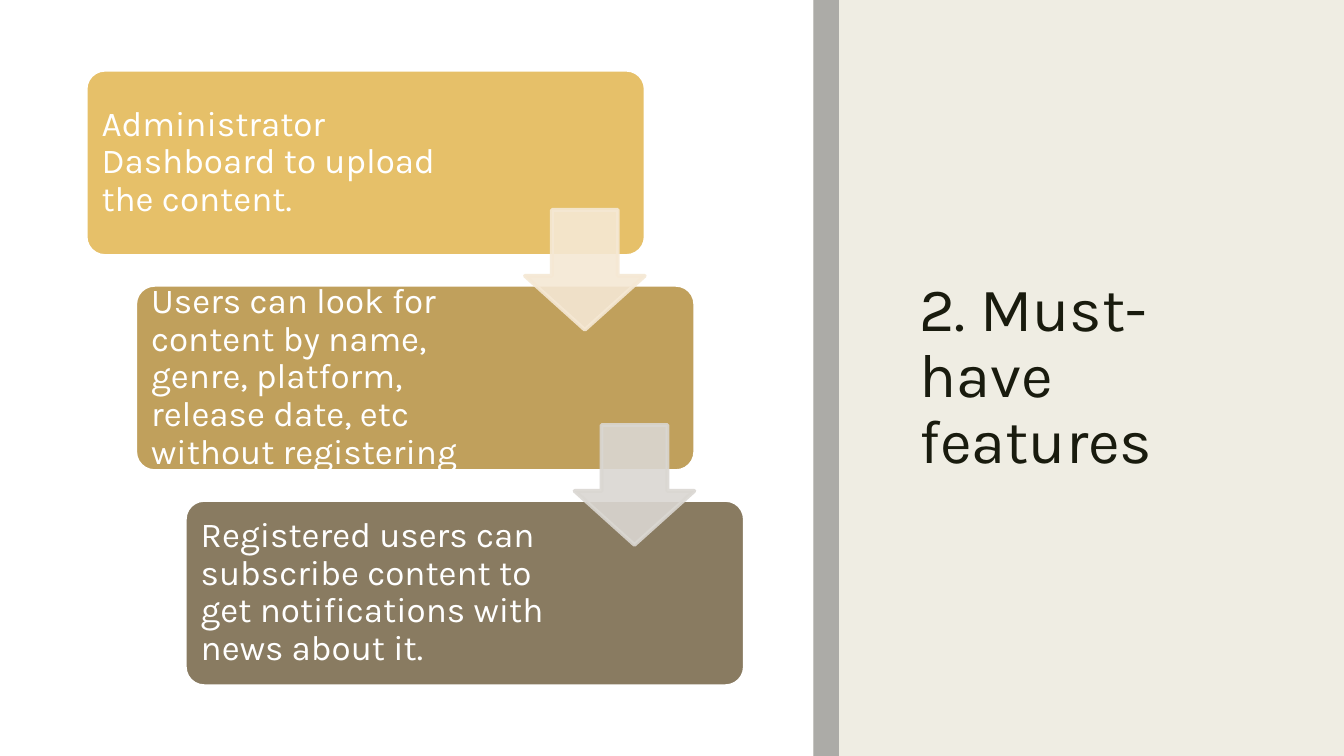
from lxml.etree import SubElement
from pptx import Presentation
from pptx.dml.color import RGBColor
from pptx.enum.shapes import MSO_SHAPE
from pptx.enum.text import MSO_ANCHOR, MSO_AUTO_SIZE, PP_ALIGN
from pptx.oxml.ns import qn
from pptx.util import Cm, Pt

COLORS = {
    "panel": "EFEDE3", "title": "191B0E", "white": "FFFFFF", "divider": "808080",
    "gold": "E6C069", "ochre": "C0A05C", "taupe": "897B61",
    "cream arrow": "F5E8D4", "gray arrow": "DAD7D2",
}
WIDTH, HEIGHT = 33.87, 19.05
STEPS = [
    ("Administrator Dashboard to upload the content.", "gold", 9.07),
    ("Users can look for content by name, genre, platform, release date, etc "
     "without registering", "ochre", 9.53),
    ("Registered users can subscribe content to get notifications with news about it.",
     "taupe", 9.53),
]
ARROWS = ["cream arrow", "gray arrow"]
STEP_RIGHT, STEP_DOWN = 1.25, 5.42


class FeatureSlide:
    def __init__(self, deck):
        self.font = "Karla"
        self.slide = deck.slides.add_slide(deck.slide_layouts[5])

    def paint(self, fill, color, opacity):
        """Fill with a solid colour; opacity is in percent."""
        fill.solid()
        fill.fore_color.rgb = RGBColor.from_string(COLORS[color])
        if opacity < 100:
            color_xml = fill._xPr.find(qn("a:solidFill"))[0]
            SubElement(color_xml, qn("a:alpha"), val=str(opacity * 1000))

    def block(self, kind, box, color, outline=None, weight=0, opacity=100, adjust=()):
        block = self.slide.shapes.add_shape(kind, *map(Cm, box))
        block.shadow.inherit = False
        for index, value in enumerate(adjust):
            block.adjustments[index] = value
        self.paint(block.fill, color, opacity)
        if outline:
            block.line.width = Pt(weight)
            self.paint(block.line.fill, outline, opacity)
        else:
            block.line.fill.background()

    def set_text(self, frame, text, size, color, spacing):
        frame.text = text
        frame_format = {"word_wrap": True, "auto_size": MSO_AUTO_SIZE.NONE,
                        "vertical_anchor": MSO_ANCHOR.MIDDLE}
        for name, value in frame_format.items():
            setattr(frame, name, value)
        paragraph = frame.paragraphs[0]
        for name, value in {"alignment": PP_ALIGN.LEFT, "line_spacing": spacing}.items():
            setattr(paragraph, name, value)
        font = paragraph.runs[0].font
        for name, value in {"name": self.font, "size": Pt(size)}.items():
            setattr(font, name, value)
        font.color.rgb = RGBColor.from_string(COLORS[color])

    def title(self, text, box):
        """Fill the title placeholder and bring it in front of what is drawn so far."""
        title = self.slide.shapes.title
        for name, value in zip(("left", "top", "width", "height"), box):
            setattr(title, name, Cm(value))
        self.set_text(title.text_frame, text, 44, "title", 0.89)
        self.slide.shapes._spTree.append(title._element)

    def label(self, text, box):
        frame = self.slide.shapes.add_textbox(*map(Cm, box)).text_frame
        for side in ("left", "top", "right", "bottom"):
            setattr(frame, f"margin_{side}", Cm(0.25))
        self.set_text(frame, text, 25, "white", 0.9)


def main():
    deck = Presentation()
    deck.slide_width, deck.slide_height = Cm(WIDTH), Cm(HEIGHT)
    page = FeatureSlide(deck)

    page.block(MSO_SHAPE.RECTANGLE, (0, 0, WIDTH, HEIGHT), "panel")
    page.title("2. Must-have features", (22.91, 1.78, 9.17, 15.49))
    page.block(MSO_SHAPE.RECTANGLE, (0, 0, 20.5, HEIGHT), "white")
    page.block(MSO_SHAPE.RECTANGLE, (20.5, 0, 0.64, HEIGHT), "divider", opacity=60)

    for number, (text, color, text_width) in enumerate(STEPS):
        left, top = 2.18 + number * STEP_RIGHT, 1.78 + number * STEP_DOWN
        page.block(MSO_SHAPE.ROUNDED_RECTANGLE, (left, top, 14.07, 4.65), color,
                   outline="white", weight=1.5, adjust=[0.1])
        page.label(text, (left + 0.13, top + 0.13, text_width, 4.37))

    for number, color in enumerate(ARROWS):
        box = (13.23 + number * STEP_RIGHT, 5.29 + number * STEP_DOWN, 3.02, 3.02)
        page.block(MSO_SHAPE.DOWN_ARROW, box, color, outline=color, weight=2.75,
                   opacity=90, adjust=[0.55, 0.45])

    deck.save("out.pptx")


if __name__ == "__main__":
    main()
